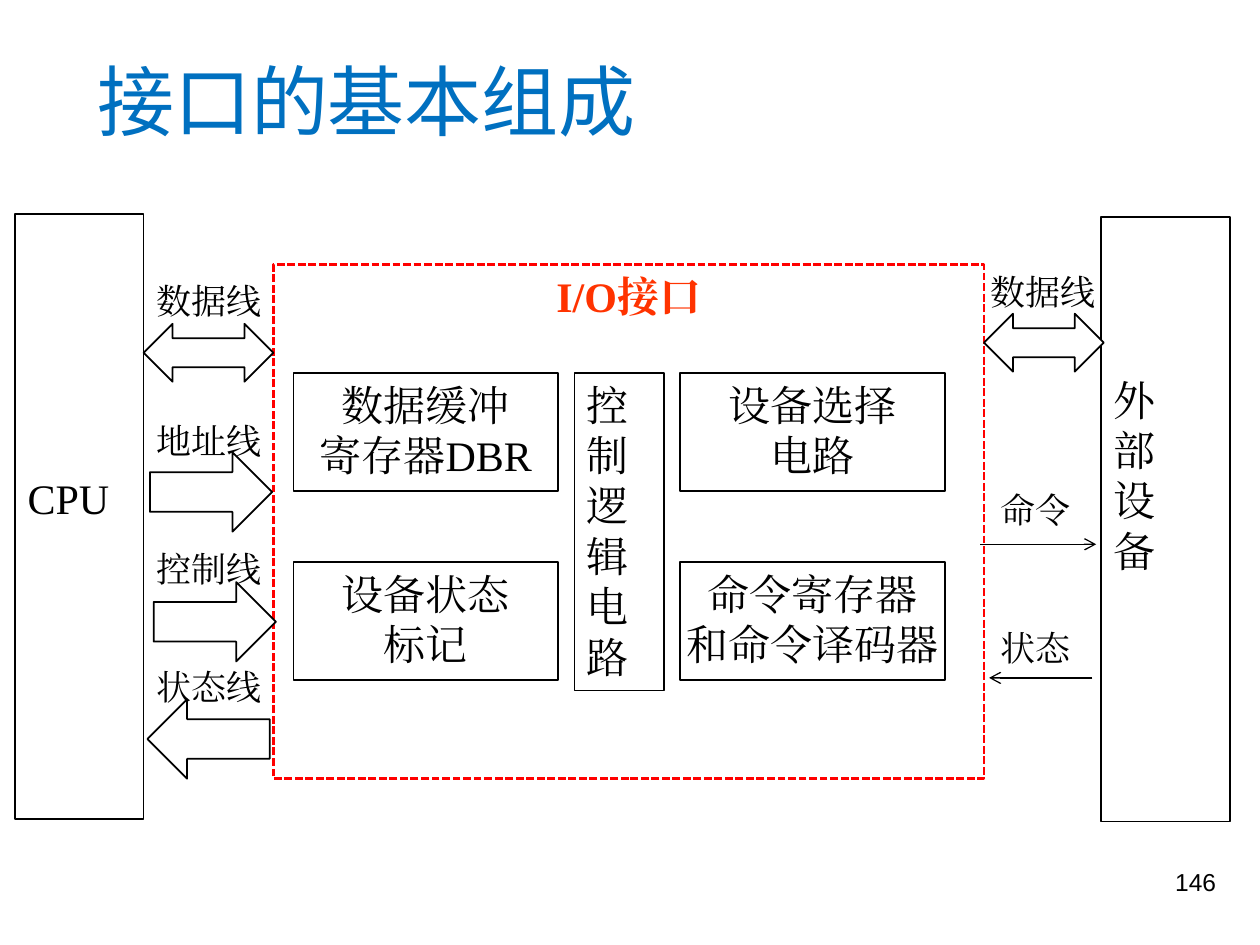
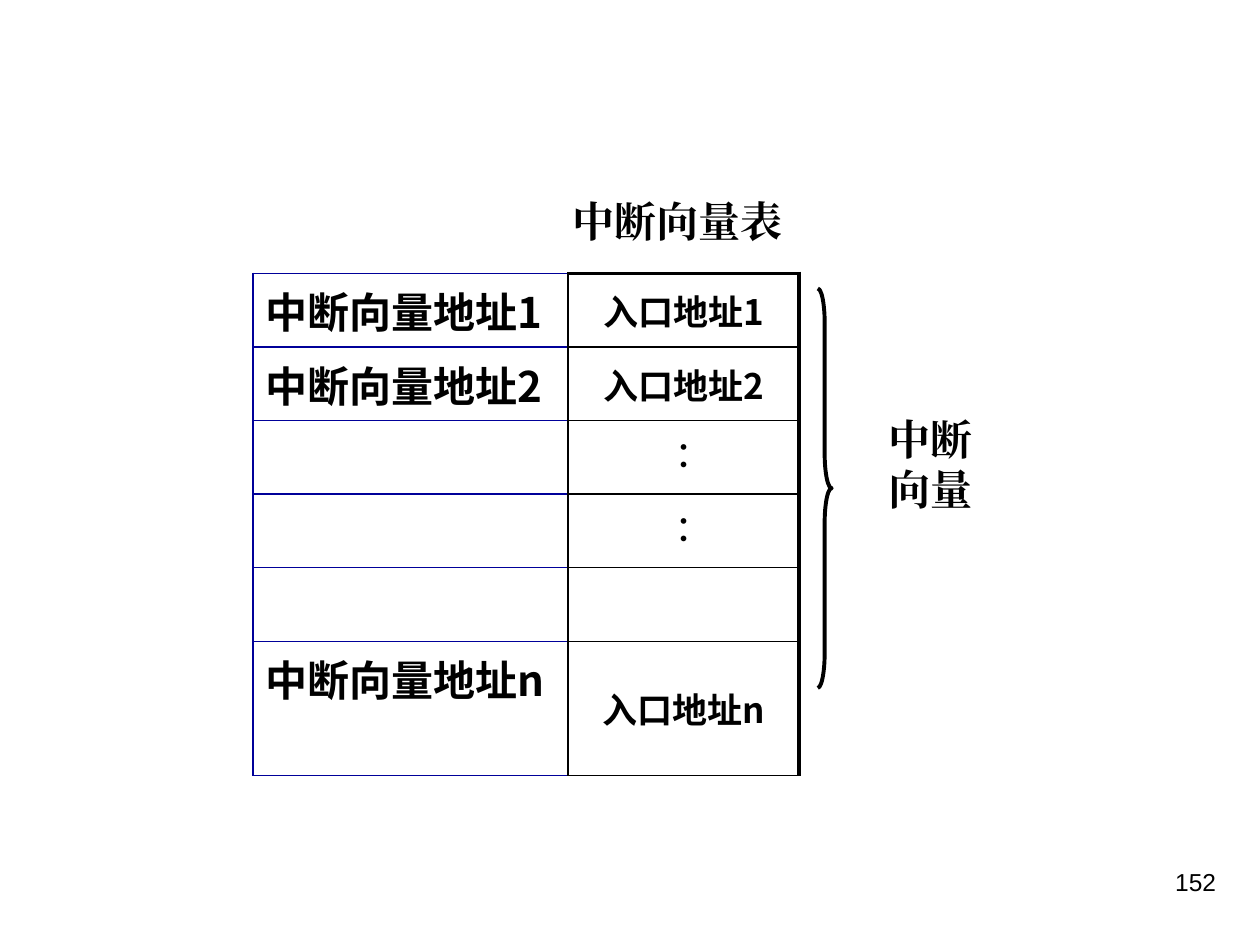
from dataclasses import dataclass

from pptx import Presentation
from pptx import util as u
from pptx.dml.color import RGBColor
from pptx.enum import dml, shapes, text
from pptx.oxml.ns import qn
from lxml import etree

In, Pt = u.Inches, u.Pt
SHAPE = shapes.MSO_SHAPE
LEFT, CENTER, RIGHT = text.PP_ALIGN.LEFT, text.PP_ALIGN.CENTER, text.PP_ALIGN.RIGHT


@dataclass(frozen=True)
class Theme:
    ink: str = "000000"
    paper: str = "FFFFFF"
    title: str = "0070C0"
    frame: str = "FF0000"
    heading: str = "FF3300"
    grid: str = "000099"
    serif: str = "Times New Roman"
    sans: str = "Noto Sans CJK SC"
    dots: str = "Cabin"
    number: str = "Arial"
    title_size: int = 44
    body_size: int = 24
    label_size: int = 20
    number_size: int = 14
    thin: float = 0.75
    line: float = 1
    dashed: float = 1.5
    thick: float = 2.25


T = Theme()


def rgb(color):
    return RGBColor.from_string(color)


def write(tf, lines, size=T.body_size, font=T.serif, color=T.ink, bold=False, align=LEFT):
    """Put one paragraph per line into a text frame, all in one style."""
    tf.text = "\n".join(lines)
    for p in tf.paragraphs:
        p.alignment = align
        f = p.font
        f.name, f.size, f.bold = font, Pt(size), bold
        f.color.rgb = rgb(color)
        latin = p._p.pPr.find(qn("a:defRPr")).find(qn("a:latin"))
        ea = etree.Element(qn("a:ea"), typeface=font)
        latin.addnext(ea)


def add_label(slide, box, words, **style):
    sp = slide.shapes.add_textbox(*map(In, box))
    sp.text_frame.word_wrap = True
    write(sp.text_frame, [words], **style)


def add_block(slide, kind, box, fill=T.paper, line=T.ink, width=T.line):
    sp = slide.shapes.add_shape(kind, *map(In, box))
    sp.shadow.inherit = False
    if fill:
        sp.fill.solid()
        sp.fill.fore_color.rgb = rgb(fill)
    else:
        sp.fill.background()
    sp.line.color.rgb = rgb(line)
    sp.line.width = Pt(width)
    return sp


def add_box(slide, box, lines, skip=0, wrap=False, bold=False, align=LEFT,
            color=T.ink, **look):
    """A rectangle with text that starts `skip` lines below its top."""
    sp = add_block(slide, SHAPE.RECTANGLE, box, **look)
    tf = sp.text_frame
    tf.word_wrap = wrap
    tf.vertical_anchor = text.MSO_ANCHOR.TOP
    tf.margin_top = In(0.05 + 0.4 * skip)
    write(tf, lines, align=align, color=color, bold=bold)
    return sp


def add_arrow_line(slide, start, end):
    c = slide.shapes.add_connector(shapes.MSO_CONNECTOR.STRAIGHT,
                                   *map(In, start + end))
    c.line.color.rgb = rgb(T.ink)
    c.line.width = Pt(T.thin)
    etree.SubElement(c.line._get_or_add_ln(), qn("a:tailEnd"), type="arrow")
    etree.SubElement(c._element.spPr, qn("a:effectLst"))


def add_page_number(slide, number):
    add_label(slide, (7.67, 6.83, 2.08, 0.5), str(number), size=T.number_size,
              font=T.number, align=RIGHT)


def add_title(slide, words):
    sp = slide.shapes.title
    sp.left, sp.top, sp.width, sp.height = map(In, (0.67, 0.17, 9.12, 1.25))
    tf = sp.text_frame
    tf.auto_size = text.MSO_AUTO_SIZE.NONE
    tf.vertical_anchor = text.MSO_ANCHOR.MIDDLE
    write(tf, [words], size=T.title_size, font=T.sans, color=T.title)


def draw_interface(slide, left, top, width, height):
    """The dashed I/O interface with its four registers and the control logic."""
    frame = add_box(slide, (left, top, width, height), ["I/O接口"], align=CENTER,
                    bold=True, color=T.heading, line=T.frame, width=T.dashed)
    frame.line.dash_style = dml.MSO_LINE.SQUARE_DOT
    units = [[("数据缓冲", "寄存器DBR"), ("设备选择", "电路")],
             [("设备状态", "标记"), ("命令寄存器", "和命令译码器")]]
    for row, pair in enumerate(units):
        for col, lines in enumerate(pair):
            box = (left + 0.16 + 3.07 * col, top + 0.86 + 1.5 * row, 2.1, 0.94)
            add_box(slide, box, lines, align=CENTER)
    add_box(slide, (left + 2.39, top + 0.86, 0.71, 2.52), ["控制逻辑电路"],
            wrap=True, fill=None, width=T.thin)


def draw_cpu_bus(slide, left, top):
    """Arrows between CPU and interface, each under its label."""
    buses = [("数据线", 0, SHAPE.LEFT_RIGHT_ARROW, (0, 0.4, 1.03, 0.46), 0),
             ("地址线", 1.11, SHAPE.RIGHT_ARROW, (0.05, 1.42, 0.97, 0.63), 0),
             ("控制线", 2.13, SHAPE.RIGHT_ARROW, (0.08, 2.45, 0.97, 0.63), 0),
             ("状态线", 3.06, SHAPE.RIGHT_ARROW, (0.03, 3.38, 0.97, 0.63), 180)]
    for name, label_top, kind, (x, y, w, h), turn in buses:
        add_block(slide, kind, (left + x, top + y, w, h)).rotation = turn
        add_label(slide, (left, top + label_top, 1.93, 0.44), name, size=T.label_size)


def draw_device_bus(slide, left, top):
    """Data arrow, command line and status line beside the external device."""
    add_block(slide, SHAPE.LEFT_RIGHT_ARROW, (left + 0.05, top + 0.39, 0.95, 0.46))
    for name, x, y in [("数据线", 0, 0), ("命令", 0.08, 1.73), ("状态", 0.08, 2.82)]:
        add_label(slide, (left + x, top + y, 1.93, 0.44), name, size=T.label_size)
    add_arrow_line(slide, (left + 0.02, top + 2.22), (left + 0.94, top + 2.22))
    add_arrow_line(slide, (left + 0.91, top + 3.28), (left + 0.09, top + 3.28))


def set_borders(cell, **sides):
    """Each side is given as (colour, points); the fill stays last."""
    tcPr = cell._tc.get_or_add_tcPr()
    for i, side in enumerate("LRTB"):
        color, width = sides[side]
        ln = etree.Element(qn("a:ln" + side), w=str(Pt(width)))
        fill = etree.SubElement(ln, qn("a:solidFill"))
        etree.SubElement(fill, qn("a:srgbClr"), val=color)
        tcPr.insert(i, ln)


def draw_vector_table(slide, left, top):
    rows = [("中断向量地址1", "入口地址1"), ("中断向量地址2", "入口地址2"),
            ("", "︰"), ("", "︰"), ("", ""), ("中断向量地址n", "入口地址n")]
    heights = [0.58, 0.56, 0.56, 0.56, 0.58, 0.56]
    widths = [2.5, 1.83]
    table = slide.shapes.add_table(len(rows), 2, In(left), In(top), In(sum(widths)),
                                   In(sum(heights))).table
    table.first_row = table.horz_banding = False
    for column, width in zip(table.columns, widths):
        column.width = In(width)
    thin, grid, thick = (T.ink, T.line), (T.grid, T.line), (T.ink, T.thick)
    for r, (address, entry) in enumerate(rows):
        table.rows[r].height = In(heights[r])
        vector, target = table.cell(r, 0), table.cell(r, 1)
        write(vector.text_frame, [address], font=T.sans, bold=True)
        write(target.text_frame, [entry], size=T.label_size, bold=True, align=CENTER,
              font=T.dots if entry == "︰" else T.sans)
        target.vertical_anchor = text.MSO_ANCHOR.MIDDLE
        for cell in (vector, target):
            cell.fill.background()
        set_borders(vector, L=grid, T=grid, R=thin, B=grid)
        set_borders(target, L=thin, T=thin if r else thick, R=thick, B=thin)


def interface_slide(prs):
    slide = prs.slides.add_slide(prs.slide_layouts[5])
    add_title(slide, "接口的基本组成")
    add_box(slide, (8.74, 1.72, 1.02, 4.8), "外部设备", skip=3, wrap=True)
    add_box(slide, (0.12, 1.7, 1.02, 4.8), ["CPU"], skip=5, wrap=True)
    draw_interface(slide, 2.17, 2.1, 5.64, 4.08)
    draw_cpu_bus(slide, 1.14, 2.17)
    draw_device_bus(slide, 7.76, 2.1)
    add_page_number(slide, 146)


def vector_slide(prs):
    slide = prs.slides.add_slide(prs.slide_layouts[6])
    draw_vector_table(slide, 2.01, 2.17)
    add_label(slide, (4.34, 1.5, 2.08, 0.5), "中断向量表", bold=True, align=CENTER)
    brace = add_block(slide, SHAPE.RIGHT_BRACE, (6.49, 2.29, 0.11, 3.17), fill=None,
                      width=T.thick)
    brace.adjustments[0] = 2.5
    add_label(slide, (6.8, 3.23, 1.17, 0.9), "中断向量", bold=True, align=CENTER)
    add_page_number(slide, 152)


def main():
    prs = Presentation()
    prs.slide_width, prs.slide_height = In(10), In(7.5)
    interface_slide(prs)
    vector_slide(prs)
    prs.save("out.pptx")


if __name__ == "__main__":
    main()
